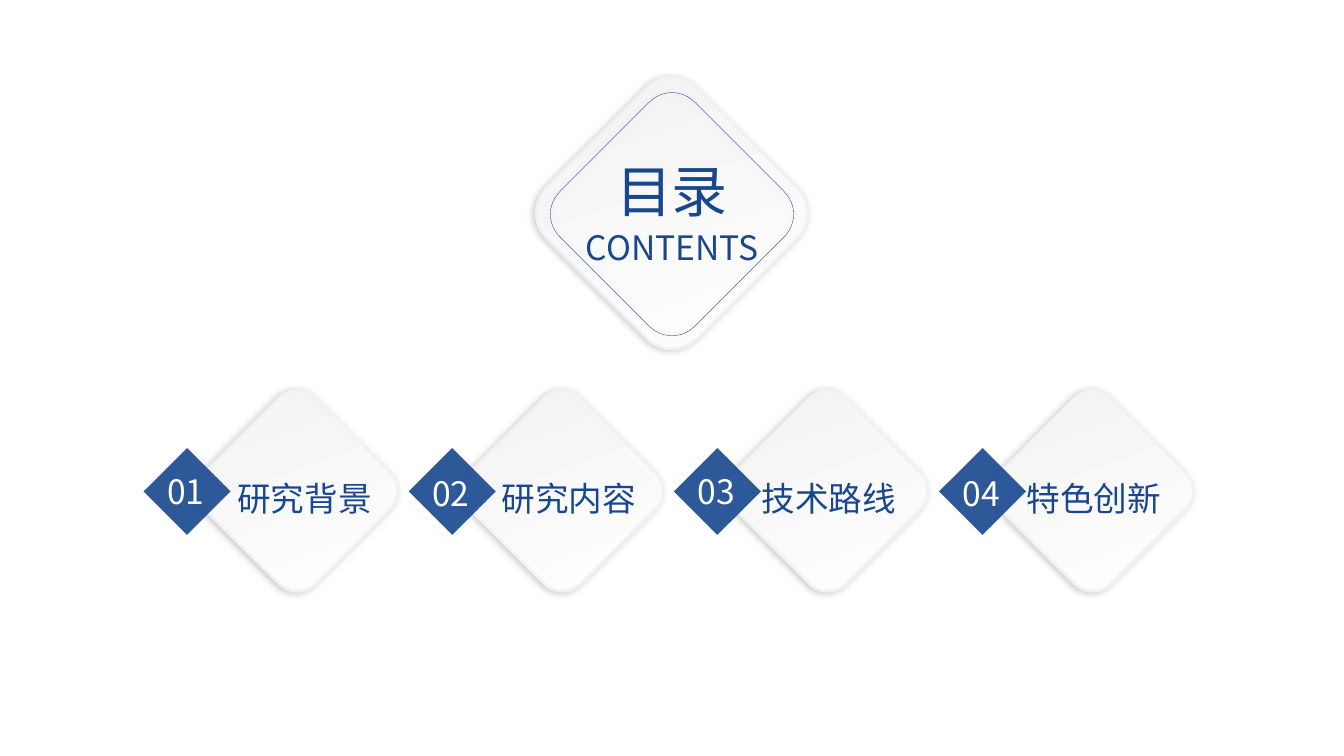
from dataclasses import dataclass

from lxml.etree import SubElement
from pptx import Presentation
from pptx.dml.color import RGBColor
from pptx.enum.shapes import MSO_SHAPE
from pptx.enum.text import MSO_AUTO_SIZE, PP_ALIGN
from pptx.oxml.ns import qn
from pptx.util import Inches, Pt


@dataclass(frozen=True)
class Theme:
    font: str = "Noto Sans CJK SC"
    blue: RGBColor = RGBColor(0x18, 0x47, 0x8F)
    white: RGBColor = RGBColor(0xFF, 0xFF, 0xFF)
    pale: RGBColor = RGBColor(0xF2, 0xF2, 0xF2)
    title_size: int = 40
    text_size: int = 24


THEME = Theme()

# Chapter name and left edge of its label
CHAPTERS = [("研究背景", 2.2), ("研究内容", 4.82), ("技术路线", 7.4), ("特色创新", 10.03)]
FIRST_CARD_LEFT, CARD_PITCH = 2.17, 2.63


def add_diamond(slide, preset, left, top, side, rotation=45):
    diamond = slide.shapes.add_shape(
        preset, Inches(left), Inches(top), Inches(side), Inches(side))
    diamond.rotation = rotation
    diamond.shadow.inherit = False
    return diamond


def add_soft_shadow(diamond):
    effects = diamond._element.spPr.find(qn("a:effectLst"))
    shadow = SubElement(effects, qn("a:outerShdw"), blurRad=str(Pt(5)),
                        dist=str(Pt(2)), dir="9900000", algn="ctr", rotWithShape="0")
    black = SubElement(shadow, qn("a:srgbClr"), val="000000")
    SubElement(black, qn("a:alpha"), val="20000")


def add_card(slide, left, top, side):
    card = add_diamond(slide, MSO_SHAPE.ROUNDED_RECTANGLE, left, top, side)
    card.fill.gradient()
    card.fill.gradient_angle = 110
    for stop, color, position in zip(
            card.fill.gradient_stops, (THEME.white, THEME.pale), (0, 1)):
        stop.color.rgb = color
        stop.position = position
    # The gradient keeps its direction while the card is turned
    card._element.spPr.find(qn("a:gradFill")).set("rotWithShape", "0")
    card.line.color.rgb = THEME.pale
    card.line.width = Pt(2)
    add_soft_shadow(card)


def add_outline(slide, left, top, side):
    outline = add_diamond(slide, MSO_SHAPE.ROUNDED_RECTANGLE, left, top, side)
    outline.fill.background()
    outline.line.color.rgb = THEME.blue
    outline.line.width = Pt(0.25)
    add_soft_shadow(outline)


def add_badge(slide, left, top, side):
    badge = add_diamond(slide, MSO_SHAPE.RECTANGLE, left, top, side, rotation=225)
    badge.fill.solid()
    badge.fill.fore_color.rgb = THEME.blue
    blue = badge._element.spPr.find(qn("a:solidFill")).find(qn("a:srgbClr"))
    SubElement(blue, qn("a:alpha"), val="90000")
    badge.line.fill.background()


def add_text(slide, text, left, top, width, height=0.5, size=THEME.text_size,
             color=THEME.blue, align=PP_ALIGN.CENTER, wrap=True):
    box = slide.shapes.add_textbox(
        Inches(left), Inches(top), Inches(width), Inches(height))
    frame = box.text_frame
    frame.word_wrap = wrap
    frame.auto_size = MSO_AUTO_SIZE.SHAPE_TO_FIT_TEXT
    paragraph = frame.paragraphs[0]
    paragraph.alignment = align
    run = paragraph.add_run()
    run.text = text
    run.font.name = THEME.font
    run.font.size = Pt(size)
    run.font.color.rgb = color
    east_asian = SubElement(run.font._element, qn("a:ea"))
    east_asian.set("typeface", THEME.font)


def add_heading(slide):
    add_card(slide, 5.61, 1.06, 2.11)
    add_outline(slide, 5.72, 1.18, 1.89)
    add_text(slide, "目录", 5.41, 1.5, 2.51, 0.77, size=THEME.title_size)
    add_text(slide, "CONTENTS", 5.41, 2.2, 2.51)


def add_chapter(slide, index, name, label_left):
    card_left = FIRST_CARD_LEFT + index * CARD_PITCH
    add_card(slide, card_left, 4.09, 1.56)
    add_badge(slide, card_left - 0.62, 4.57, 0.61)
    add_text(slide, name, label_left, 4.69, 1.64)
    # Even numbers sit slightly lower
    add_text(slide, f"{index + 1:02}", card_left - 0.61, 4.62 + 0.02 * (index % 2), 0.6,
             color=THEME.white, align=PP_ALIGN.LEFT, wrap=False)


def main():
    deck = Presentation()
    deck.slide_width, deck.slide_height = Inches(13.33), Inches(7.5)
    slide = deck.slides.add_slide(deck.slide_layouts[6])

    # Heading diamond
    add_heading(slide)

    # Row of chapters
    for index, (name, label_left) in enumerate(CHAPTERS):
        add_chapter(slide, index, name, label_left)

    deck.save("out.pptx")


if __name__ == "__main__":
    main()
